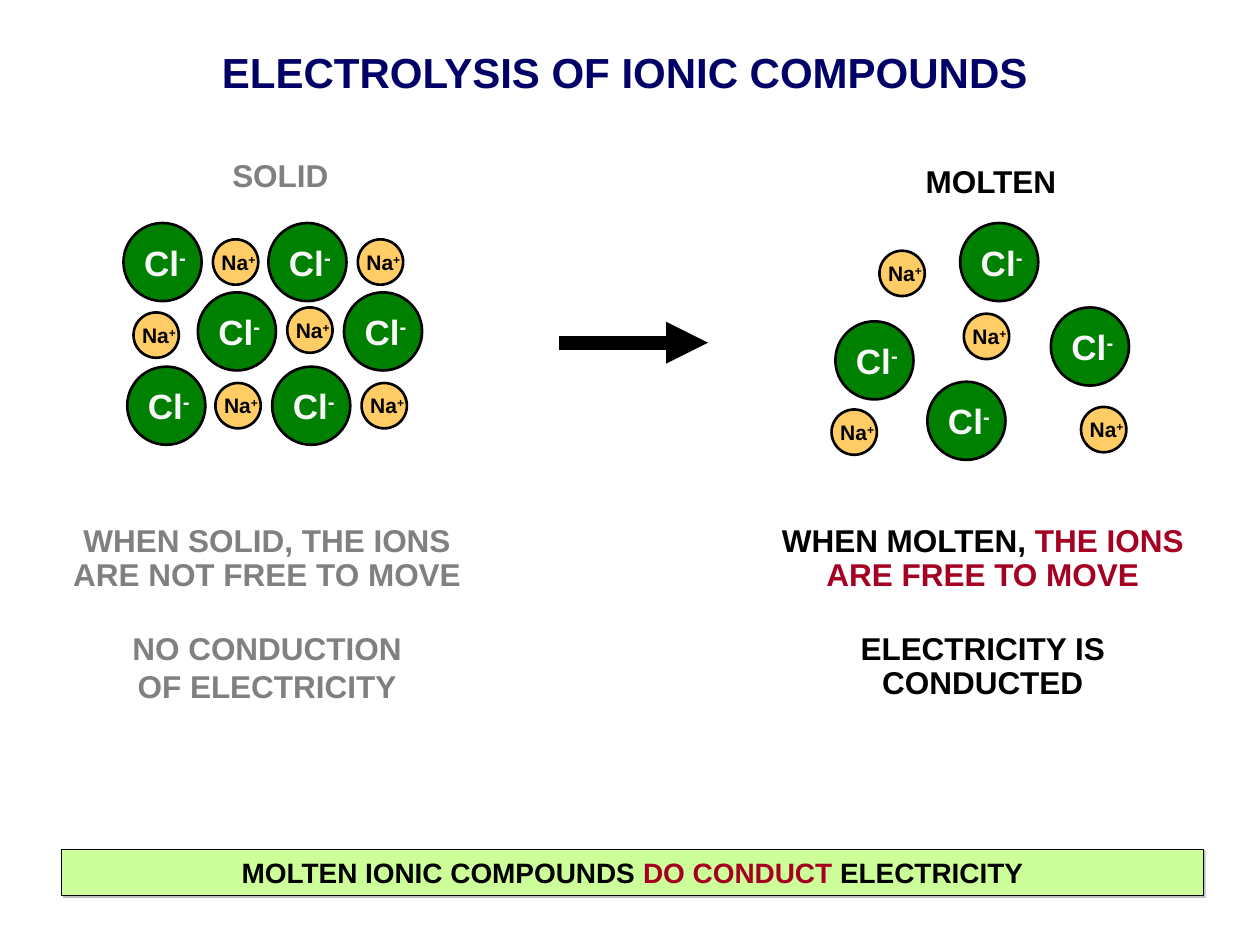
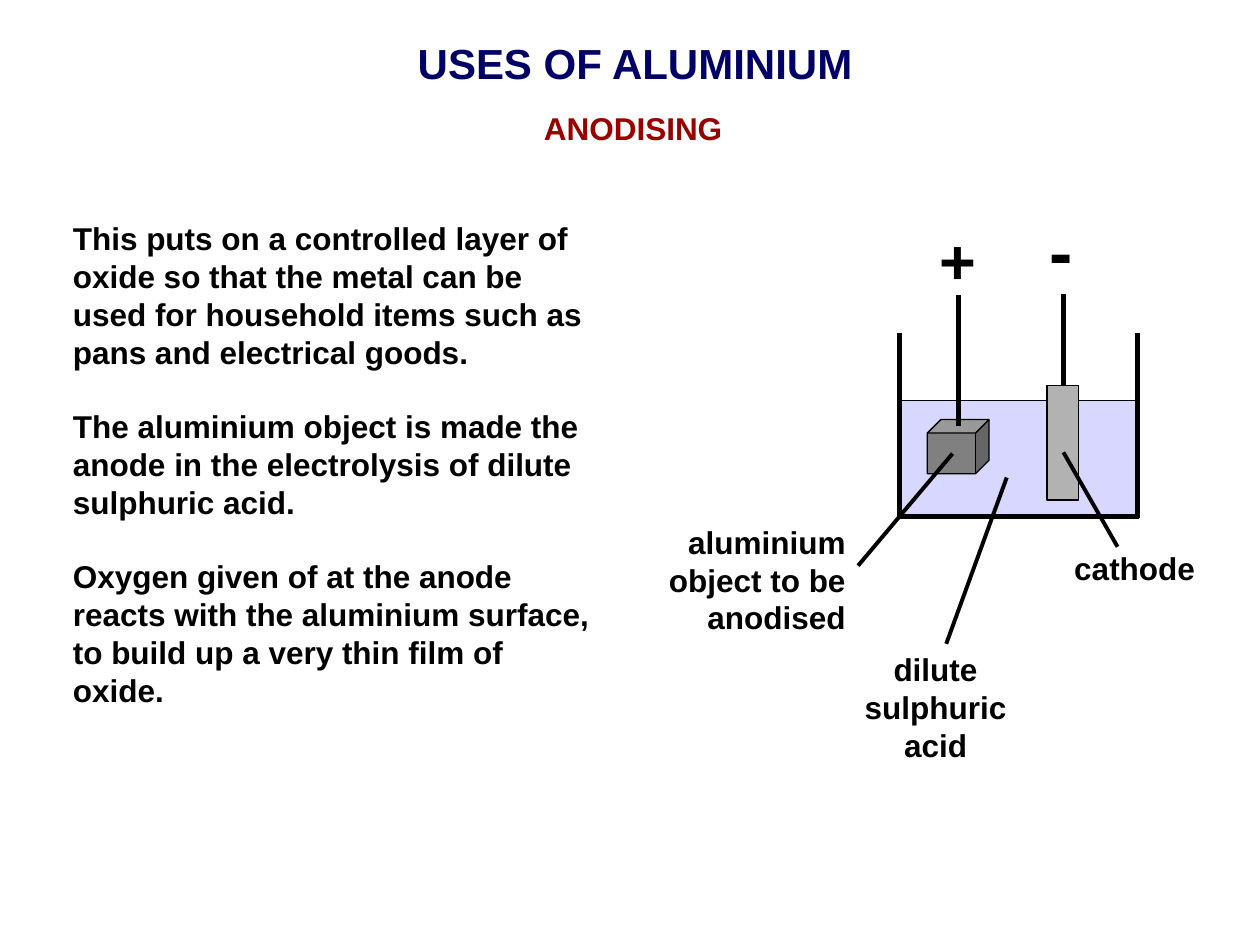
from lxml import etree
from pptx import Presentation
from pptx import util as u
from pptx.dml.color import RGBColor
from pptx.enum import shapes, text
from pptx.oxml.ns import qn

CELL = u.Inches(0.1)
NAVY, BLACK, GREY = "000066", "000000", "808080"
CRIMSON, RED = "A50021", "990000"
LEFT, CENTRE, RIGHT = text.PP_ALIGN.LEFT, text.PP_ALIGN.CENTER, text.PP_ALIGN.RIGHT
OVAL, RECT, CUBE = (shapes.MSO_SHAPE.OVAL, shapes.MSO_SHAPE.RECTANGLE,
                    shapes.MSO_SHAPE.CUBE)


def paint(fill, colour):
    fill.solid()
    fill.fore_color.rgb = RGBColor.from_string(colour)


def write(holder, paragraphs, size, align=CENTRE, spacing=1.0, gaps=(0,)):
    frame = holder.text_frame
    frame.word_wrap = True
    for index, (runs, gap) in enumerate(zip(paragraphs, gaps)):
        paragraph = frame.add_paragraph() if index else frame.paragraphs[0]
        paragraph.alignment = align
        paragraph.line_spacing = spacing
        paragraph.space_before = u.Pt(gap)
        for words, colour, *raised in runs:
            run = paragraph.add_run()
            run.text = words
            run.font.name = "Arial"
            run.font.size = u.Pt(size)
            run.font.bold = True
            paint(run.font.fill, colour)
            if raised:
                run.font._element.set("baseline", raised[0])


deck = Presentation()
deck.slide_width, deck.slide_height = CELL * 100, CELL * 75
ionic, anodising = [deck.slides.add_slide(deck.slide_layouts[6]) for _ in range(2)]

for slide, title, place in [
    (ionic, "ELECTROLYSIS OF IONIC COMPOUNDS", (8.3, 3.2, 82.6, 5)),
    (anodising, "USES OF ALUMINIUM", (12.5, 2.5, 75.8, 5)),
]:
    heading = slide.shapes.add_textbox(*[int(CELL * v) for v in place])
    write(heading, [[(title, NAVY)]], 24)

ION_STYLES = {
    "Na": (3.6, "FFCC66", "+", BLACK, 12, (-0.3, 0.3, 5, 3)),
    "Cl": (6.2, "008000", "-", "F8F8F8", 20, (0.65, 0.95, 5.9, 4.4)),
}
lattice_rows = [
    ("Na", 19.0, (16.9, 28.4)), ("Cl", 17.7, (9.8, 21.3)),
    ("Na", 24.4, (22.8,)), ("Na", 24.8, (10.6,)), ("Cl", 23.2, (15.7, 27.3)),
    ("Na", 30.4, (17.1, 28.7)), ("Cl", 29.1, (10.1, 21.6)),
]
free_ions = [
    ("Na", 69.8, 19.9), ("Cl", 76.2, 17.7), ("Na", 76.5, 24.9), ("Cl", 83.4, 24.4),
    ("Na", 66.0, 32.5), ("Cl", 66.3, 25.5), ("Na", 85.8, 32.3), ("Cl", 73.6, 30.3),
]
lattice = ionic.shapes.add_group_shape()
ions = [(lattice, ion, x, y) for ion, y, lefts in lattice_rows for x in lefts]
ions += [(None, *free) for free in free_ions]
for cluster, ion, x, y in ions:
    diameter, colour, charge, ink, size, (dx, dy, wide, high) = ION_STYLES[ion]
    cluster = cluster or ionic.shapes.add_group_shape()
    ball = cluster.shapes.add_shape(
        OVAL, *[int(CELL * v) for v in (x, y, diameter, diameter)])
    ball.shadow.inherit = False
    paint(ball.fill, colour)
    paint(ball.line.fill, BLACK)
    ball.line.width = u.Pt(1.5)
    symbol = cluster.shapes.add_textbox(
        *[int(CELL * v) for v in (x + dx, y + dy, wide, high)])
    write(symbol, [[(ion, ink), (charge, ink, "30000")]], size, LEFT)

for place, paragraphs, gaps in [
    ((13.2, 12.2, 18.1, 3.7), [[("SOLID", GREY)]], (0,)),
    ((69.6, 12.7, 18.1, 3.7), [[("MOLTEN", BLACK)]], (0,)),
    ((4.7, 41.2, 33, 15.4),
     [[("WHEN SOLID, THE IONS ARE NOT FREE TO MOVE", GREY)],
      [("NO CONDUCTION", GREY)], [("OF ELECTRICITY", GREY)]], (0, 23, 2)),
    ((59.7, 41.2, 36.6, 15.1),
     [[("WHEN MOLTEN, ", BLACK), ("THE IONS ARE FREE TO MOVE", CRIMSON)],
      [("ELECTRICITY IS CONDUCTED", BLACK)]], (0, 23)),
]:
    caption = ionic.shapes.add_textbox(*[int(CELL * v) for v in place])
    write(caption, paragraphs, 18, spacing=0.9, gaps=gaps)

conclusion = ionic.shapes.add_shape(
    RECT, *[int(CELL * v) for v in (4.9, 67.4, 90.6, 3.7)])
paint(conclusion.fill, "CCFF99")
paint(conclusion.line.fill, BLACK)
conclusion.line.width = u.Pt(0.75)
conclusion.shadow.inherit = False
effects = conclusion._element.spPr.find(qn("a:effectLst"))
cast = etree.SubElement(effects, qn("a:outerShdw"), dist=str(u.Pt(1.4)),
                        dir="2700000", algn="ctr", rotWithShape="0")
tint = etree.SubElement(cast, qn("a:srgbClr"), val=GREY)
etree.SubElement(tint, qn("a:alpha"), val="50000")
write(conclusion, [[("MOLTEN IONIC COMPOUNDS ", BLACK), ("DO CONDUCT ", CRIMSON),
                    ("ELECTRICITY", BLACK)]], 16)

for part, place, colour in [
    (RECT, (71.3, 31.8, 18.9, 9.1), "CCCCFF"),
    (CUBE, (73.6, 33.3, 4.9, 4.3), GREY),
    (RECT, (83.1, 30.6, 2.5, 9.1), "B2B2B2"),
]:
    piece = anodising.shapes.add_shape(part, *[int(CELL * v) for v in place])
    piece.shadow.inherit = False
    paint(piece.fill, colour)
    paint(piece.line.fill, BLACK)
    piece.line.width = u.Pt(0.75)
    if colour == "CCCCFF":
        acid_tint = piece._element.spPr.find(qn("a:solidFill"))[0]
        etree.SubElement(acid_tint, qn("a:alpha"), val="78000")

tank = [(71.4, 26.4, 71.4, 41.1), (90.3, 26.4, 90.3, 41.1), (90.4, 41, 71.3, 41)]
wires = [(76.1, 33.8, 76.1, 23.4), (84.4, 30.6, 84.4, 23.3)]
pointers = [(79.9, 37.9, 75.1, 51.1), (75.6, 36, 68.1, 44.9), (84.4, 35.9, 88.7, 43.4)]
strokes = [(ionic, 8, (44.4, 27.2, 56.2, 27.2))]
strokes += [(anodising, 3, ends) for ends in tank + wires]
strokes += [(anodising, 2.25, ends) for ends in pointers]
for slide, weight, ends in strokes:
    stroke = slide.shapes.add_connector(
        shapes.MSO_CONNECTOR.STRAIGHT, *[int(CELL * v) for v in ends])
    paint(stroke.line.fill, BLACK)
    stroke.line.width = u.Pt(weight)
    if slide is ionic:
        etree.SubElement(stroke.line._ln, qn("a:tailEnd"), type="triangle")
    etree.SubElement(stroke._element.spPr, qn("a:effectLst"))

for place, words, size, align, colour in [
    ((23.4, 8.2, 53.7, 4), "ANODISING", 18, CENTRE, RED),
    ((73.6, 17.1, 4.9, 7), "+", 36, LEFT, BLACK),
    ((82.3, 16, 3.7, 7.2), "-", 40, LEFT, BLACK),
    ((50.4, 41, 17.7, 10), "aluminium object to be anodised", 18, RIGHT, BLACK),
    ((64.8, 51.1, 18.9, 10), "dilute sulphuric acid", 18, CENTRE, BLACK),
    ((84.1, 43.1, 11.9, 4), "cathode", 18, CENTRE, BLACK),
]:
    label = anodising.shapes.add_textbox(*[int(CELL * v) for v in place])
    write(label, [[(words, colour)]], size, align)

explanation = anodising.shapes.add_textbox(
    *[int(CELL * v) for v in (4.8, 16.9, 43.5, 43)])
write(explanation, [
    [("This puts on a controlled layer of oxide so that the metal can be used for "
      "household items such as pans and electrical goods.", BLACK)],
    [("The aluminium object is made the anode in the electrolysis of dilute "
      "sulphuric acid.", BLACK)],
    [("Oxygen given of at the anode reacts with the aluminium surface, to build up "
      "a very thin film of oxide.", BLACK)],
], 18, LEFT, gaps=(0, 21, 21))

deck.save("out.pptx")
